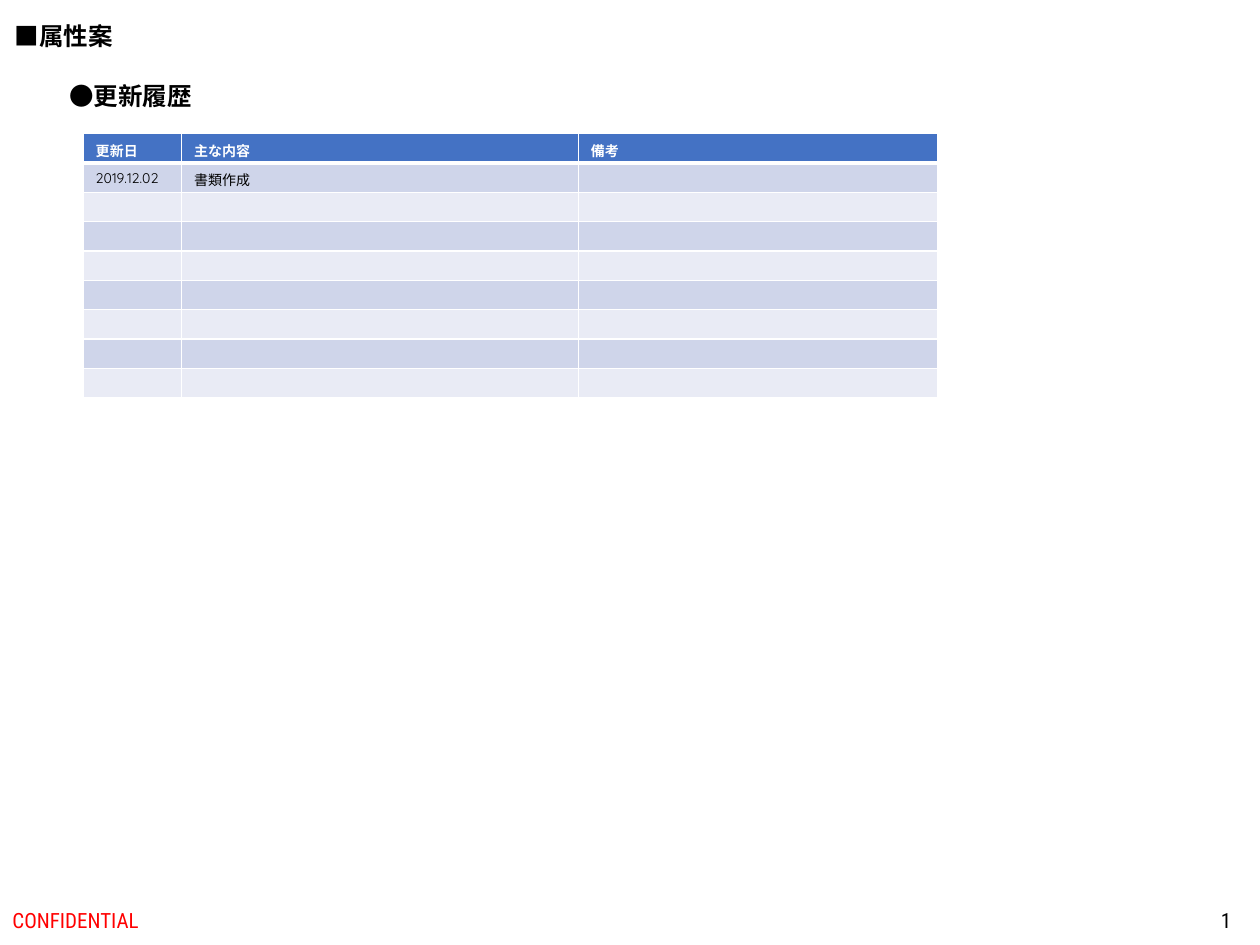
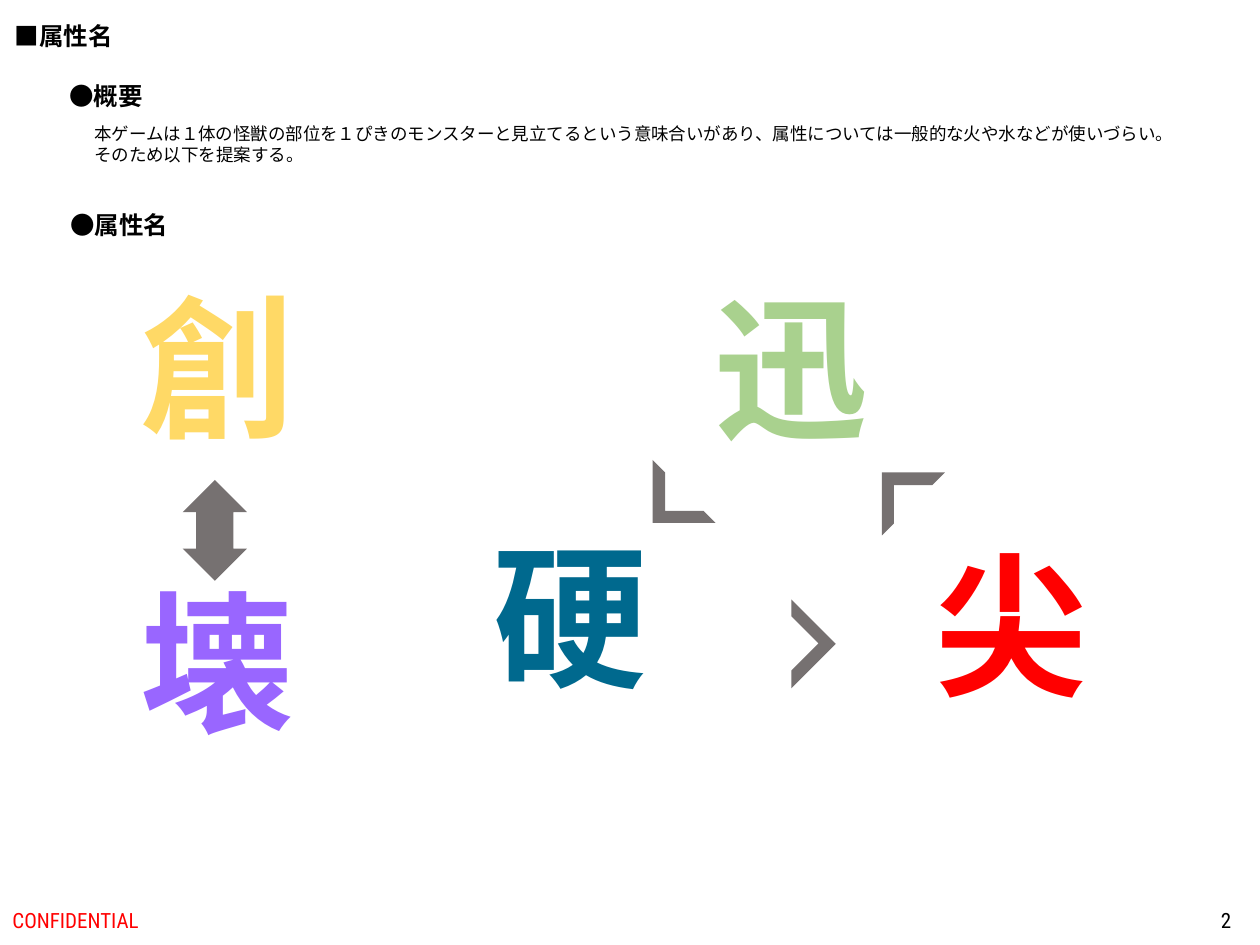
from lxml import etree
from pptx import Presentation
from pptx.dml.color import RGBColor
from pptx.enum.shapes import MSO_SHAPE
from pptx.enum.text import MSO_ANCHOR, PP_ALIGN
from pptx.oxml.ns import qn
from pptx.util import Inches, Pt

TOP, MIDDLE = MSO_ANCHOR.TOP, MSO_ANCHOR.MIDDLE
LEFT, CENTER, RIGHT = PP_ALIGN.LEFT, PP_ALIGN.CENTER, PP_ALIGN.RIGHT
HALF_FRAME, UP_DOWN_ARROW = MSO_SHAPE.HALF_FRAME, MSO_SHAPE.UP_DOWN_ARROW

BLACK, WHITE, RED, GRAY = "000000", "FFFFFF", "FF0000", "767171"
HEADER_BLUE, BAND_DARK, BAND_LIGHT = "4472C4", "CFD5EA", "E9EBF5"
BODY_FONT, FOOTER_FONT, KANJI_FONT = "Quicksand", "Roboto Condensed", "Noto Sans CJK JP"

color = RGBColor.from_string


def write(frame, text, size=14, font=BODY_FONT, asian=BODY_FONT, ink=BLACK,
          bold=False, align=LEFT, anchor=TOP, wrap=False):
    frame.word_wrap = wrap
    frame.vertical_anchor = anchor
    for i, line in enumerate(text.split("\n")):
        paragraph = frame.paragraphs[0] if i == 0 else frame.add_paragraph()
        paragraph.alignment = align
        if not line:
            # Keeps an empty cell as low as a filled one
            etree.SubElement(paragraph._p, qn("a:endParaRPr"), sz=str(size * 100))
            continue
        run = paragraph.add_run()
        run.text = line
        run.font.size, run.font.name, run.font.bold = Pt(size), font, bold
        run.font.color.rgb = color(ink)
        etree.SubElement(run._r.get_or_add_rPr(), qn("a:ea"), typeface=asian)


def add_text(slide, text, left, top, width, height, **style):
    box = slide.shapes.add_textbox(Inches(left), Inches(top), Inches(width), Inches(height))
    write(box.text_frame, text, **style)


prs = Presentation()
prs.slide_width, prs.slide_height = Inches(10), Inches(7.5)

# Shared title, first heading and footer
slides = []
for number, (title, heading) in enumerate([("■属性案", "●更新履歴"), ("■属性名", "●概要")], 1):
    slide = prs.slides.add_slide(prs.slide_layouts[6])
    add_text(slide, title, 0.02, 0.12, 0.99, 0.34, font="Arial", bold=True)
    add_text(slide, heading, 0.45, 0.59, 1.18 if number == 1 else 0.79, 0.34, bold=True)
    add_text(slide, "CONFIDENTIAL", 0, 7.1, 3.38, 0.4, size=12, font=FOOTER_FONT,
             ink=RED, anchor=MIDDLE, wrap=True)
    add_text(slide, str(number), 7.62, 7.1, 2.25, 0.4, size=12, font=FOOTER_FONT,
             align=RIGHT, anchor=MIDDLE, wrap=True)
    slides.append(slide)
history_slide, attribute_slide = slides

# Update history table
history_rows = [["更新日", "主な内容", "備考"], ["2019.12.02", "書類作成", ""]]
history_rows += [["", "", ""]] * 7
history = history_slide.shapes.add_table(
    len(history_rows), 3, Inches(0.66), Inches(1.06), Inches(6.78), Inches(2.1)).table
for column, width in zip(history.columns, (0.78, 3.15, 2.85)):
    column.width = Inches(width)
for r, row in enumerate(history_rows):
    is_header = r == 0
    band = HEADER_BLUE if is_header else BAND_DARK if r % 2 else BAND_LIGHT
    for c, text in enumerate(row):
        cell = history.cell(r, c)
        cell.margin_bottom = 0
        write(cell.text_frame, text, size=8, asian=KANJI_FONT, bold=is_header,
              ink=WHITE if is_header else BLACK, wrap=True)
        properties = cell._tc.get_or_add_tcPr()
        for side in ("lnL", "lnR", "lnT", "lnB"):
            thick = (is_header and side == "lnB") or (r == 1 and side == "lnT")
            border = etree.SubElement(properties, qn(f"a:{side}"), w=str(Pt(3 if thick else 1)))
            paint = etree.SubElement(border, qn("a:solidFill"))
            etree.SubElement(paint, qn("a:srgbClr"), val=WHITE)
        cell.fill.solid()
        cell.fill.fore_color.rgb = color(band)

# Overview and second heading
add_text(attribute_slide,
         "本ゲームは１体の怪獣の部位を１ぴきのモンスターと見立てるという意味合いがあり、"
         "属性については一般的な火や水などが使いづらい。\nそのため以下を提案する。",
         0.65, 0.93, 8.9, 0.44, size=10)
add_text(attribute_slide, "●属性名", 0.46, 1.62, 0.99, 0.34, bold=True)

# Attributes
for kanji, left, top, ink in [
    ("創", 1.01, 2.11, "FFD966"),
    ("壊", 1.01, 4.44, "9966FF"),
    ("硬", 3.81, 4.08, "00698E"),
    ("迅", 5.56, 2.11, "A9D18E"),
    ("尖", 7.31, 4.15, RED),
]:
    add_text(attribute_slide, kanji, left, top, 1.44, 1.58, size=88, font=KANJI_FONT,
             ink=ink, bold=True, align=CENTER, anchor=MIDDLE)

# Relations: the opposed pair, then the cycle of three
for kind, left, top, width, height, rotation, adjustments in [
    (UP_DOWN_ARROW, 1.45, 3.81, 0.51, 0.8, 0, (0.39, 0.58)),
    (HALF_FRAME, 6.03, 4.86, 0.5, 0.5, 135, (0.2, 0.19)),
    (HALF_FRAME, 7, 3.75, 0.5, 0.5, 0, (0.2, 0.19)),
    (HALF_FRAME, 5.18, 3.65, 0.5, 0.5, 270, (0.2, 0.19)),
]:
    relation = attribute_slide.shapes.add_shape(
        kind, Inches(left), Inches(top), Inches(width), Inches(height))
    relation.rotation = rotation
    for i, value in enumerate(adjustments):
        relation.adjustments[i] = value
    relation.shadow.inherit = False
    relation.fill.solid()
    relation.fill.fore_color.rgb = color(GRAY)
    relation.line.fill.background()

prs.save("out.pptx")
